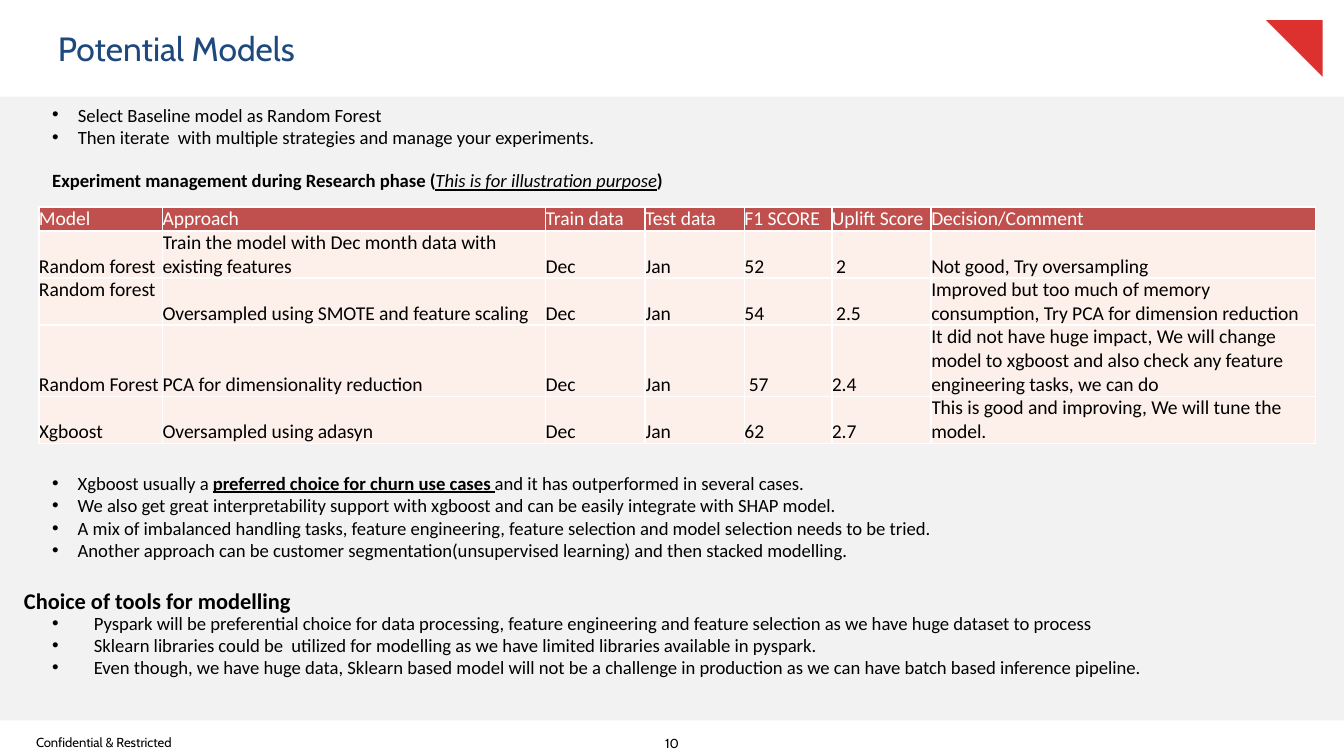
import pptx
import pptx.util
import pptx.dml.color
import pptx.enum.shapes
import pptx.enum.text
import pptx.oxml
import pptx.oxml.ns
from lxml import etree

Inches, Pt = pptx.util.Inches, pptx.util.Pt
ANCHOR = pptx.enum.text.MSO_ANCHOR
ALIGN = pptx.enum.text.PP_ALIGN
SHAPE = pptx.enum.shapes.MSO_SHAPE

TITLE = "Potential Models"
PANELS = [
    (SHAPE.RECTANGLE, (0, 0.72, 10, 4.64), "F2F2F2", 0),
    (SHAPE.RIGHT_TRIANGLE, (9.42, 0.15, 0.42, 0.42), "DD312F", 180),
]
FOOTERS = [
    ("Confidential & Restricted", (0.17, 5.44, 1.67, 0.16), ALIGN.LEFT),
    ("10", (4.79, 5.45, 0.42, 0.16), ALIGN.CENTER),
]
BLOCKS = [
    ((0.29, 0.72, 9.08, 0.44), 10, 0.19, [
        [("Select Baseline model as Random Forest", "")],
        [("Then iterate  with multiple strategies and manage your experiments.", "")],
    ]),
    ((0.29, 1.21, 6.58, 0.27), 10, 0, [
        [("Experiment management during Research phase (", "b"),
         ("This is for illustration purpose", "iu"), (")", "b")],
    ]),
    ((0.29, 3.46, 9.5, 0.77), 10, 0.19, [
        [("Xgboost usually a ", ""), ("preferred choice for churn use cases ", "bu"),
         ("and it has outperformed in several cases.", "")],
        [("We also get great interpretability support with xgboost and can be "
          "easily integrate with SHAP model.", "")],
        [("A mix of imbalanced handling tasks, feature engineering, feature "
          "selection and model selection needs to be tried.", "")],
        [("Another approach can be customer segmentation(unsupervised learning) "
          "and then stacked modelling.", "")],
    ]),
    ((0.29, 4.5, 9.58, 0.61), 10, 0.31, [
        [("Pyspark will be preferential choice for data processing, feature engineering "
          "and feature selection as we have huge dataset to process", "")],
        [("Sklearn libraries could be  utilized for modelling as we have limited "
          "libraries available in pyspark.", "")],
        [("Even though, we have huge data, Sklearn based model will not be a challenge "
          "in production as we can have batch based inference pipeline.", "")],
    ]),
    ((0.08, 4.32, 4.75, 0.3), 12, 0, [[("Choice of tools for modelling", "b")]]),
]
GRID = [
    ("Model", "Approach", "Train data", "Test data", "F1 SCORE", "Uplift Score",
     "Decision/Comment"),
    ("Random forest", "Train the model with Dec month data with existing features",
     "Dec", "Jan", "52", " 2", "Not good, Try oversampling"),
    ("Random forest", "Oversampled using SMOTE and feature scaling",
     "Dec", "Jan", "54", " 2.5",
     "Improved but too much of memory consumption, Try PCA for dimension reduction"),
    ("Random Forest", "PCA for dimensionality reduction", "Dec", "Jan", " 57", "2.4",
     "It did not have huge impact, We will change model to xgboost and also check "
     "any feature engineering tasks, we can do"),
    ("Xgboost", "Oversampled using adasyn", "Dec", "Jan", "62", "2.7",
     "This is good and improving, We will tune the model."),
]
WIDTHS = [0.92, 2.85, 0.74, 0.74, 0.65, 0.74, 2.86]
HEIGHTS = [0.18, 0.35, 0.35, 0.53, 0.35]
TOP_CELL = (2, 0)


def color(text):
    return pptx.dml.color.RGBColor.from_string(text)


def place(box):
    return [Inches(n) for n in box]


def style(para, size, face="Calibri", ink="000000"):
    para.font.size = Pt(size)
    para.font.name = face
    para.font.color.rgb = color(ink)


def bullet(para, indent):
    props = para._p.get_or_add_pPr()
    props.set("marL", str(Inches(indent)))
    props.set("indent", str(-Inches(indent)))
    for tag, key, value in (("a:buFont", "typeface", "Arial"), ("a:buChar", "char", "•")):
        item = etree.Element(pptx.oxml.ns.qn(tag))
        item.set(key, value)
        props.insert_element_before(item, "a:tabLst", "a:defRPr", "a:extLst")


def border(cell):
    props = cell._tc.get_or_add_tcPr()
    for n, side in enumerate(("lnL", "lnR", "lnT", "lnB")):
        props.insert(n, pptx.oxml.parse_xml(
            f'<a:{side} {pptx.oxml.ns.nsdecls("a")} w="12700"><a:solidFill>'
            f'<a:srgbClr val="FFFFFF"/></a:solidFill></a:{side}>'))


def add_panel(slide, kind, box, fill, turn):
    panel = slide.shapes.add_shape(kind, *place(box))
    panel.shadow.inherit = False
    panel.fill.solid()
    panel.fill.fore_color.rgb = color(fill)
    panel.line.fill.background()
    panel.rotation = turn


def add_footer(slide, text, box, align):
    frame = slide.shapes.add_textbox(*place(box)).text_frame
    frame.word_wrap = True
    frame.margin_top = frame.margin_bottom = 0
    frame.vertical_anchor = ANCHOR.MIDDLE
    para = frame.paragraphs[0]
    para.text = text
    para.alignment = align
    style(para, 7, "Cabin")


def add_block(slide, box, size, indent, lines):
    frame = slide.shapes.add_textbox(*place(box)).text_frame
    frame.word_wrap = True
    for n, line in enumerate(lines):
        para = frame.add_paragraph() if n else frame.paragraphs[0]
        style(para, size)
        if indent:
            bullet(para, indent)
        for text, marks in line:
            run = para.add_run()
            run.text = text
            if "b" in marks:
                run.font.bold = True
            if "i" in marks:
                run.font.italic = True
            if "u" in marks:
                run.font.underline = True


def add_grid(slide):
    box = (0.29, 1.54, sum(WIDTHS), sum(HEIGHTS))
    table = slide.shapes.add_table(len(GRID), len(WIDTHS), *place(box)).table
    for col, width in zip(table.columns, WIDTHS):
        col.width = Inches(width)
    for r, (row, height) in enumerate(zip(GRID, HEIGHTS)):
        table.rows[r].height = Inches(height)
        for c, text in enumerate(row):
            cell = table.cell(r, c)
            cell.margin_left = cell.margin_right = 0
            cell.margin_top = cell.margin_bottom = 0
            cell.vertical_anchor = ANCHOR.TOP if (r, c) == TOP_CELL else ANCHOR.BOTTOM
            cell.fill.solid()
            cell.fill.fore_color.rgb = color("FDEFE9" if r else "C0504D")
            border(cell)
            para = cell.text_frame.paragraphs[0]
            para.text = text
            para.font.bold = False
            style(para, 10.5, ink="000000" if r else "FFFFFF")


def main():
    deck = pptx.Presentation()
    deck.slide_width = Inches(10)
    deck.slide_height = deck.slide_width * 9 // 16
    slide = deck.slides.add_slide(deck.slide_layouts[5])
    for panel in PANELS:
        add_panel(slide, *panel)
    title = slide.shapes.title
    title.left, title.top, title.width, title.height = place((0.33, 0, 9.42, 0.72))
    frame = title.text_frame
    frame.text = TITLE
    frame.vertical_anchor = ANCHOR.MIDDLE
    frame.paragraphs[0].alignment = ALIGN.LEFT
    style(frame.paragraphs[0], 18, "Cabin", "1F497D")
    for footer in FOOTERS:
        add_footer(slide, *footer)
    add_grid(slide)
    for block in BLOCKS:
        add_block(slide, *block)
    deck.save("out.pptx")


if __name__ == "__main__":
    main()
